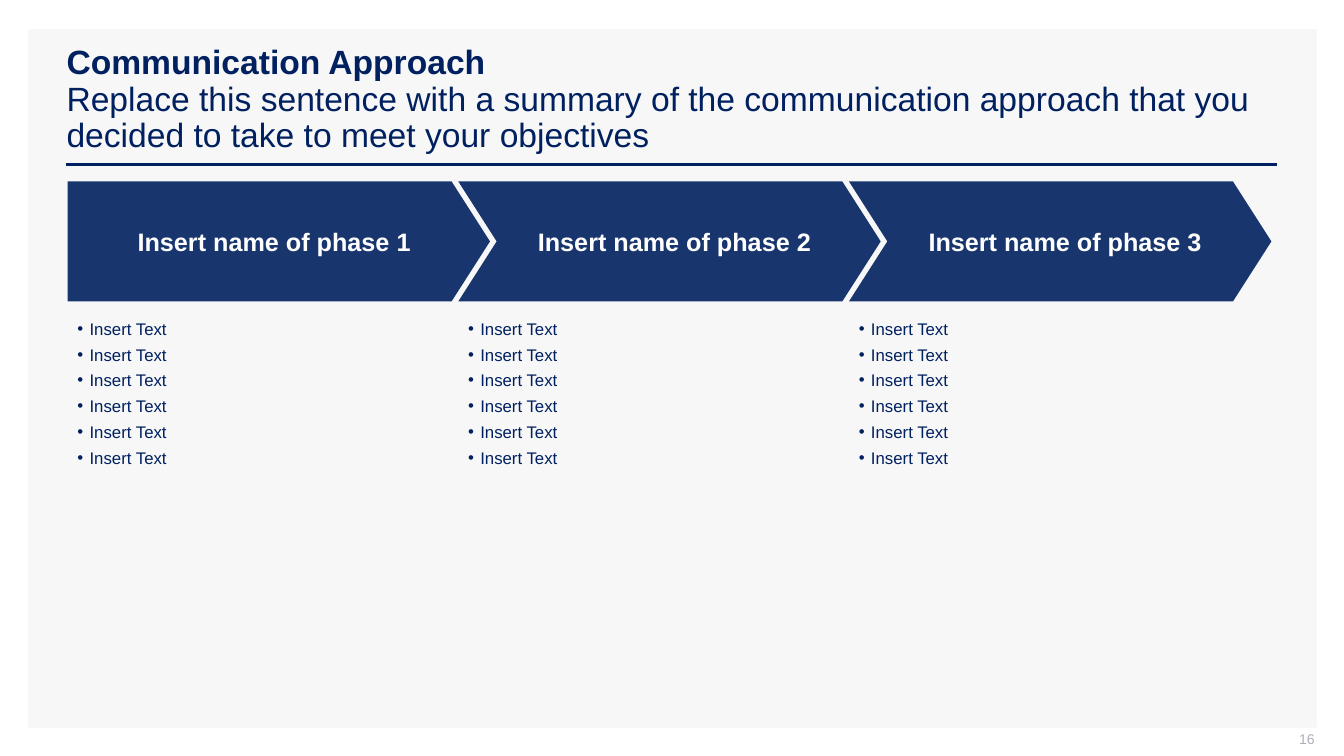
from lxml import etree
from pptx import Presentation
from pptx.dml.color import RGBColor
from pptx.enum.shapes import MSO_CONNECTOR, MSO_SHAPE
from pptx.enum.text import MSO_ANCHOR, MSO_AUTO_SIZE, PP_ALIGN
from pptx.oxml.ns import qn
from pptx.util import Inches, Pt

RECT, PLATE, CHEVRON = MSO_SHAPE.RECTANGLE, MSO_SHAPE.PENTAGON, MSO_SHAPE.CHEVRON
LINE = MSO_CONNECTOR.STRAIGHT
MIDDLE, TOP = MSO_ANCHOR.MIDDLE, MSO_ANCHOR.TOP
LEFT, CENTER, RIGHT = PP_ALIGN.LEFT, PP_ALIGN.CENTER, PP_ALIGN.RIGHT
NO_FIT, GROW = MSO_AUTO_SIZE.NONE, MSO_AUTO_SIZE.SHAPE_TO_FIT_TEXT
NAVY, WHITE, PALE, GRAY = "002060", "FFFFFF", "F7F7F7", "ADAFBB"
FACE = "Arial"


def color(code):
    return RGBColor.from_string(code)


class Page:
    def __init__(self, deck):
        self.wide, self.high = deck.slide_width, deck.slide_height
        self.slide = deck.slides.add_slide(deck.slide_layouts[5])
        self.shapes = self.slide.shapes

    def area(self, x, y, w, h):
        return [round(share * size / 100) for share, size in
                zip((x, y, w, h), (self.wide, self.high) * 2)]

    def font(self, par, size, ink, bold=None):
        par.font.name, par.font.size = FACE, Pt(size)
        par.font.color.rgb, par.font.bold = color(ink), bold

    def frame(self, shape, anchor, pads=(0.1, 0.05, 0.1, 0.05), fit=NO_FIT):
        frame = shape.text_frame
        frame.word_wrap, frame.auto_size = True, fit
        frame.vertical_anchor = anchor
        (frame.margin_left, frame.margin_top,
         frame.margin_right, frame.margin_bottom) = map(Inches, pads)
        return frame

    def shape(self, kind, area, fill):
        shape = self.shapes.add_shape(kind, *self.area(*area))
        shape.shadow.inherit = False
        shape.fill.solid()
        shape.fill.fore_color.rgb = color(fill)
        shape.line.fill.background()
        return shape

    def panel(self, area):
        panel = self.shape(RECT, area, PALE)
        self.shapes.title.element.addprevious(panel.element)

    def rule(self, x, y, end):
        left, top, right, _ = self.area(x, y, end, y)
        rule = self.shapes.add_connector(LINE, left, top, right, top)
        rule.line.color.rgb, rule.line.width = color(NAVY), Pt(2)
        etree.SubElement(rule.element.spPr, qn("a:effectLst"))

    def title(self, area, head, body):
        title = self.shapes.title
        title.left, title.top, title.width, title.height = self.area(*area)
        par = self.frame(title, MIDDLE).paragraphs[0]
        par.alignment, par.line_spacing = LEFT, 0.9
        self.font(par, 24, NAVY)
        first = par.add_run()
        first.text, first.font.bold = head, True
        par.add_line_break()
        rest = par.add_run()
        rest.text, rest.font.bold = body, False

    def phase(self, kind, area, text):
        arrow = self.shape(kind, area, NAVY)
        arrow.adjustments[0] = 0.32
        tint = arrow.element.spPr.find(".//" + qn("a:srgbClr"))
        etree.SubElement(tint, qn("a:alpha"), val="90000")
        par = self.frame(arrow, MIDDLE, (0.1, 0.05, 0, 0.05)).paragraphs[0]
        par.text, par.alignment = text, CENTER
        self.font(par, 18, WHITE, True)

    def bullets(self, area, items):
        box = self.shapes.add_textbox(*self.area(*area))
        frame = self.frame(box, TOP, fit=GROW)
        for row, item in enumerate(items):
            par = frame.add_paragraph() if row else frame.paragraphs[0]
            par.text = item
            par.space_before, par.space_after = Pt(2 if row else 0), Pt(2)
            props = par._p.get_or_add_pPr()
            props.set("marL", str(Inches(0.12)))
            props.set("indent", str(-Inches(0.12)))
            etree.SubElement(props, qn("a:buFont"), typeface=FACE)
            etree.SubElement(props, qn("a:buChar"), char="•")
            self.font(par, 12, NAVY)

    def number(self, area, text):
        box = self.shapes.add_textbox(*self.area(*area))
        par = self.frame(box, MIDDLE, (0.1, 0, 0, 0.05)).paragraphs[0]
        par.text, par.alignment = text, RIGHT
        self.font(par, 10, GRAY)


def main():
    deck = Presentation()
    deck.slide_width, deck.slide_height = Inches(13.33), Inches(7.5)
    page = Page(deck)
    page.panel((2.1, 3.87, 95.87, 92.4))
    page.title((4.2, 5.33, 90.85, 15.87), "Communication Approach",
               "Replace this sentence with a summary of the communication "
               "approach that you decided to take to meet your objectives")
    page.rule(4.95, 21.73, 95.05)
    page.number((75.32, 96.67, 22.5, 2.8), "16")
    left, step = 5.03, 29.07
    for col, kind in enumerate((PLATE, CHEVRON, CHEVRON)):
        x = left + col * step
        page.phase(kind, (x, 24, 31.43, 15.87), f"Insert name of phase {col + 1}")
        page.bullets((x, 41.47, 27.9, 21.2), ["Insert Text"] * 6)
    deck.save("out.pptx")


if __name__ == "__main__":
    main()
